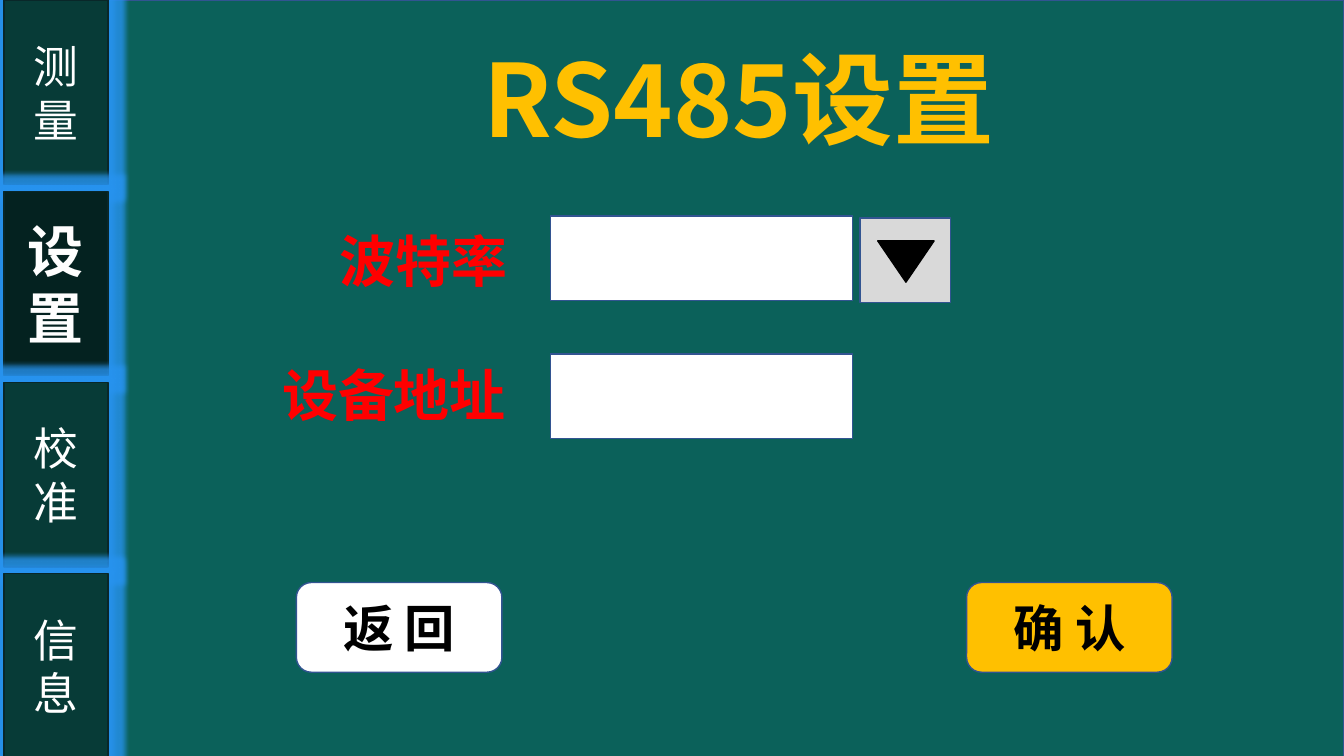
import pptx
import pptx.dml.color
import pptx.enum.shapes
import pptx.enum.text
import pptx.oxml
import pptx.oxml.ns
import pptx.util

Cm, Pt = pptx.util.Cm, pptx.util.Pt
SHAPE = pptx.enum.shapes.MSO_SHAPE
ALIGN = pptx.enum.text.PP_ALIGN
ANCHOR = pptx.enum.text.MSO_ANCHOR
AUTO = pptx.enum.text.MSO_AUTO_SIZE
NOTO = "Noto Sans CJK SC"
NS = pptx.oxml.ns.nsdecls("a")
rgb = pptx.dml.color.RGBColor.from_string


def add_box(kind, x, y, w, h, fill, line):
    sp = s.shapes.add_shape(kind, Cm(x), Cm(y), Cm(w), Cm(h))
    sp.shadow.inherit = False
    sp.fill.solid()
    sp.fill.fore_color.rgb = rgb(fill)
    sp.line.color.rgb = rgb(line)
    sp.line.width = Pt(1)
    return sp


def add_run(p, text, font, size, color, bold=True):
    """Add a run that uses one typeface for Latin and Chinese text."""
    r = p.add_run()
    r.text = text
    r.font.size = Pt(size)
    r.font.bold = bold
    r.font.color.rgb = rgb(color)
    r.font.name = font
    rPr = r.font._element
    rPr.append(pptx.oxml.parse_xml(f'<a:ea {NS} typeface="{font}"/>'))
    return rPr


prs = pptx.Presentation()
prs.slide_width, prs.slide_height = Cm(33.87), Cm(19.05)
s = prs.slides.add_slide(prs.slide_layouts[5])

background = add_box(SHAPE.RECTANGLE, 0, 0, 33.87, 19.1, "0B615A", "325491")

# Title
title = s.shapes.title
background._element.addnext(title._element)
title.left, title.top, title.width, title.height = Cm(11.94), Cm(0.79), Cm(14.22), Cm(3.33)
tf = title.text_frame
tf.word_wrap = True
tf.auto_size = AUTO.NONE
tf.vertical_anchor = ANCHOR.MIDDLE
tf.paragraphs[0].alignment = ALIGN.LEFT
rPr = add_run(tf.paragraphs[0], "RS485设置", NOTO, 72, "FFC000")
rPr.insert(1, pptx.oxml.parse_xml(
    f'<a:effectLst {NS}><a:outerShdw blurRad="38100" dist="38100" dir="2700000">'
    '<a:srgbClr val="000000"><a:alpha val="43000"/></a:srgbClr></a:outerShdw></a:effectLst>'))

# Navigation tabs, each with a blue glow
for i, lines in enumerate([["测", "量"], ["设置"], ["校", "准"], ["信", "息"]]):
    active = len(lines) == 1
    sp = add_box(SHAPE.RECTANGLE, 0.1, 4.82 * i, 2.62, 4.65,
                 "042220" if active else "073B37", "092729")
    effects = sp._element.spPr.find(pptx.oxml.ns.qn("a:effectLst"))
    effects.append(pptx.oxml.parse_xml(
        f'<a:glow {NS} rad="101600"><a:srgbClr val="2894F0">'
        '<a:alpha val="80000"/></a:srgbClr></a:glow>'))
    tf = sp.text_frame
    tf.vertical_anchor = ANCHOR.MIDDLE
    for j, text in enumerate(lines):
        p = tf.add_paragraph() if j else tf.paragraphs[0]
        p.alignment = ALIGN.CENTER
        if active:
            rPr = add_run(p, text, "Calibri", 40, "FEFEFE")
            rPr.set("spc", "50")
            rPr.insert(0, pptx.oxml.parse_xml(
                f'<a:ln {NS} w="9525"><a:solidFill><a:srgbClr val="4472C4"/></a:solidFill></a:ln>'))
        else:
            add_run(p, text, "Calibri", 32, "FFFFFF", False)

# Buttons
for x, text, fill in [(7.47, "返 回", "FFFFFF"), (24.36, "确 认", "FFC000")]:
    sp = add_box(SHAPE.ROUNDED_RECTANGLE, x, 14.68, 5.18, 2.26, fill, "325491")
    sp.text_frame.vertical_anchor = ANCHOR.MIDDLE
    p = sp.text_frame.paragraphs[0]
    p.alignment = ALIGN.CENTER
    add_run(p, text, NOTO, 36, "000000")

# Fields with their labels
for field_y, x, y, w, text in [(5.44, 8.31, 5.59, 4.8, "波特率"),
                               (8.92, 6.86, 8.97, 6.22, "设备地址")]:
    add_box(SHAPE.RECTANGLE, 13.87, field_y, 7.62, 2.13, "FFFFFF", "325491")
    label = s.shapes.add_textbox(Cm(x), Cm(y), Cm(w), Cm(1.96))
    tf = label.text_frame
    tf.word_wrap = False
    tf.auto_size = AUTO.SHAPE_TO_FIT_TEXT
    add_run(tf.paragraphs[0], text, "Arial", 40, "FF0000")

# Drop-down button
add_box(SHAPE.RECTANGLE, 21.67, 5.49, 2.29, 2.13, "D9D9D9", "325491")
arrow = add_box(SHAPE.ISOSCELES_TRIANGLE, 22.12, 6.07, 1.42, 1.04, "000000", "000000")
arrow.rotation = 180

prs.save("out.pptx")
